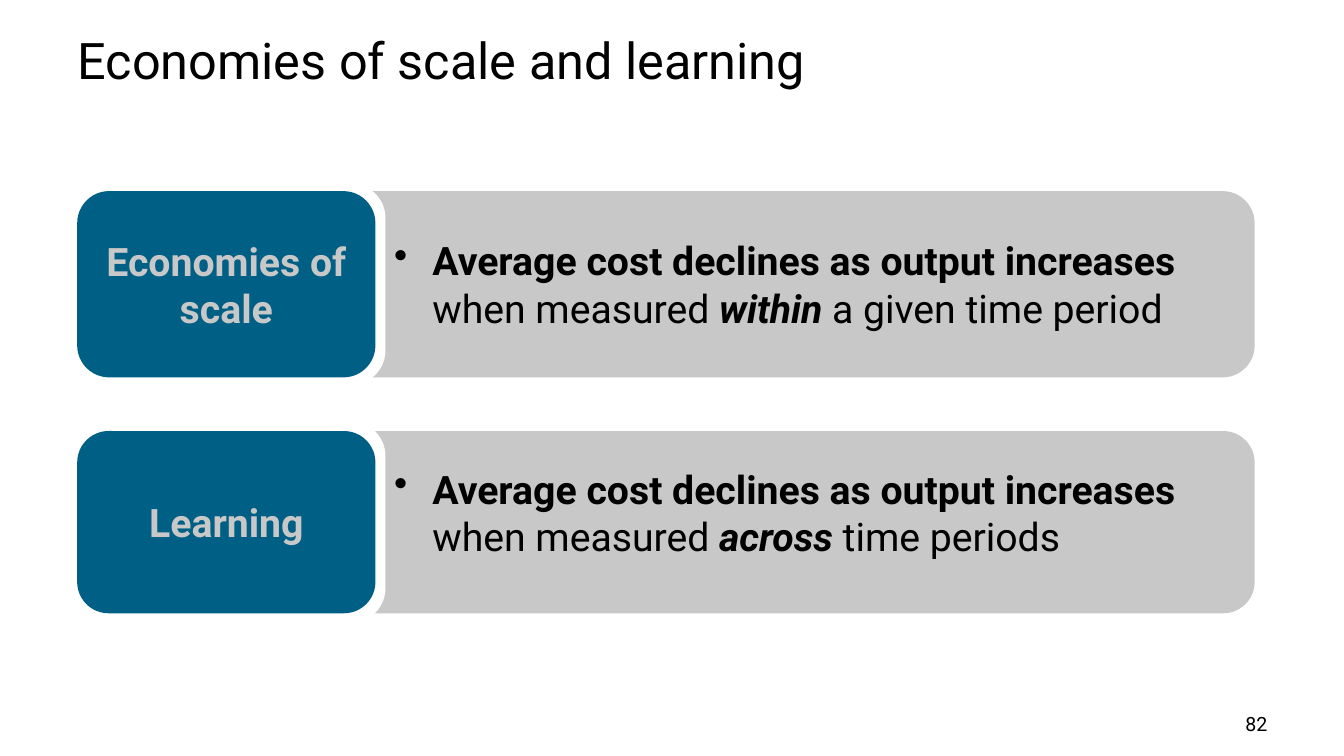
import pptx
import pptx.dml.color
import pptx.enum.shapes
import pptx.enum.text
import pptx.oxml.ns
import pptx.util
from lxml import etree

Inches = pptx.util.Inches
Pt = pptx.util.Pt
RGBColor = pptx.dml.color.RGBColor
Anchor = pptx.enum.text.MSO_ANCHOR
Align = pptx.enum.text.PP_ALIGN

BLACK = RGBColor(0x00, 0x00, 0x00)
WHITE = RGBColor(0xFF, 0xFF, 0xFF)
GREY = RGBColor(0xC8, 0xC8, 0xC8)
BLUE = RGBColor(0x00, 0x5F, 0x85)
FONT = "Roboto"

SLIDE_WIDTH, SLIDE_HEIGHT = 13.33, 7.5
MARGIN = 0.67
CONTENT_WIDTH = 12

# Row layout, in inches from the left edge of the row
ROW_LEFT, ROW_WIDTH = 0.78, 11.65
LABEL_WIDTH = 2.93
BAND_START = 1.41
HALO_GAP, HALO_HEIGHT = 0.1, 1.97
DEFINITION_WIDTH = 8.28
BULLET_INDENT = 0.38

# Label, row top, row height, definition height, emphasised word, ending
ROWS = [
    ("Economies of scale", 1.91, 1.82, 1.04, "within", " a given time period"),
    ("Learning", 4.29, 1.78, 1.23, "across", " time periods"),
]


def box(left, top, width, height):
    return [Inches(value) for value in (left, top, width, height)]


def set_font(paragraph, size, color, bold=None):
    font = paragraph.font
    font.name, font.size, font.bold = FONT, Pt(size), bold
    font.color.rgb = color


def add_title(slide, text, left, top, width, height):
    title = slide.shapes.title
    title.left, title.top, title.width, title.height = box(left, top, width, height)
    frame = title.text_frame
    frame.text = text
    frame.auto_size = pptx.enum.text.MSO_AUTO_SIZE.NONE
    frame.vertical_anchor = Anchor.MIDDLE
    paragraph = frame.paragraphs[0]
    paragraph.alignment = Align.LEFT
    set_font(paragraph, 36, BLACK)


def add_page_number(slide, text, left, top, width, height):
    frame = slide.shapes.add_textbox(*box(left, top, width, height)).text_frame
    frame.word_wrap = True
    paragraph = frame.paragraphs[0]
    paragraph.text = text
    paragraph.alignment = Align.RIGHT
    set_font(paragraph, 14, BLACK)


def add_rounded(shapes, color, left, top, width, height):
    shape = shapes.add_shape(pptx.enum.shapes.MSO_SHAPE.ROUNDED_RECTANGLE,
                             *box(left, top, width, height))
    shape.shadow.inherit = False
    shape.fill.solid()
    shape.fill.fore_color.rgb = color
    shape.line.color.rgb = color
    shape.line.width = Pt(2)
    return shape


def add_bullet(paragraph, indent):
    properties = paragraph._p.get_or_add_pPr()
    properties.set("marL", str(Inches(indent)))
    properties.set("indent", str(-Inches(indent)))
    bullet = etree.SubElement(properties, pptx.oxml.ns.qn("a:buChar"))
    bullet.set("char", "•")


def add_definition(shapes, emphasis, ending, left, top, width, height):
    frame = shapes.add_textbox(*box(left, top, width, height)).text_frame
    frame.word_wrap = True
    paragraph = frame.paragraphs[0]
    add_bullet(paragraph, BULLET_INDENT)
    set_font(paragraph, 28, BLACK)
    for text, bold, italic in [
        ("Average cost declines as output increases", True, False),
        (" when measured ", False, False),
        (emphasis, True, True),
        (ending, False, False),
    ]:
        run = paragraph.add_run()
        run.text = text
        run.font.bold, run.font.italic = bold, italic


def add_row(slide, label, definition_height, emphasis, ending, left, top, width, height):
    shapes = slide.shapes.add_group_shape().shapes
    middle = top + height / 2

    # Grey band, with a white halo that separates it from the label
    add_rounded(shapes, GREY, left + BAND_START, top, width - BAND_START, height)
    add_rounded(shapes, WHITE, left - HALO_GAP, middle - HALO_HEIGHT / 2,
                LABEL_WIDTH + 2 * HALO_GAP, HALO_HEIGHT)

    # Blue label
    frame = add_rounded(shapes, BLUE, left, top, LABEL_WIDTH, height).text_frame
    frame.word_wrap = True
    frame.vertical_anchor = Anchor.MIDDLE
    paragraph = frame.paragraphs[0]
    paragraph.text = label
    paragraph.alignment = Align.CENTER
    set_font(paragraph, 28, GREY, bold=True)

    # Definition
    add_definition(shapes, emphasis, ending, left + LABEL_WIDTH + HALO_GAP,
                   middle - definition_height / 2, DEFINITION_WIDTH, definition_height)


def main():
    presentation = pptx.Presentation()
    presentation.slide_width = Inches(SLIDE_WIDTH)
    presentation.slide_height = Inches(SLIDE_HEIGHT)
    slide = presentation.slides.add_slide(presentation.slide_layouts[5])

    add_title(slide, "Economies of scale and learning", MARGIN, 0.23, CONTENT_WIDTH, 0.71)
    for label, top, height, definition_height, emphasis, ending in ROWS:
        add_row(slide, label, definition_height, emphasis, ending,
                ROW_LEFT, top, ROW_WIDTH, height)
    add_page_number(slide, "82", 9.56, 7.01, 3.11, 0.34)

    presentation.save("out.pptx")


if __name__ == "__main__":
    main()
